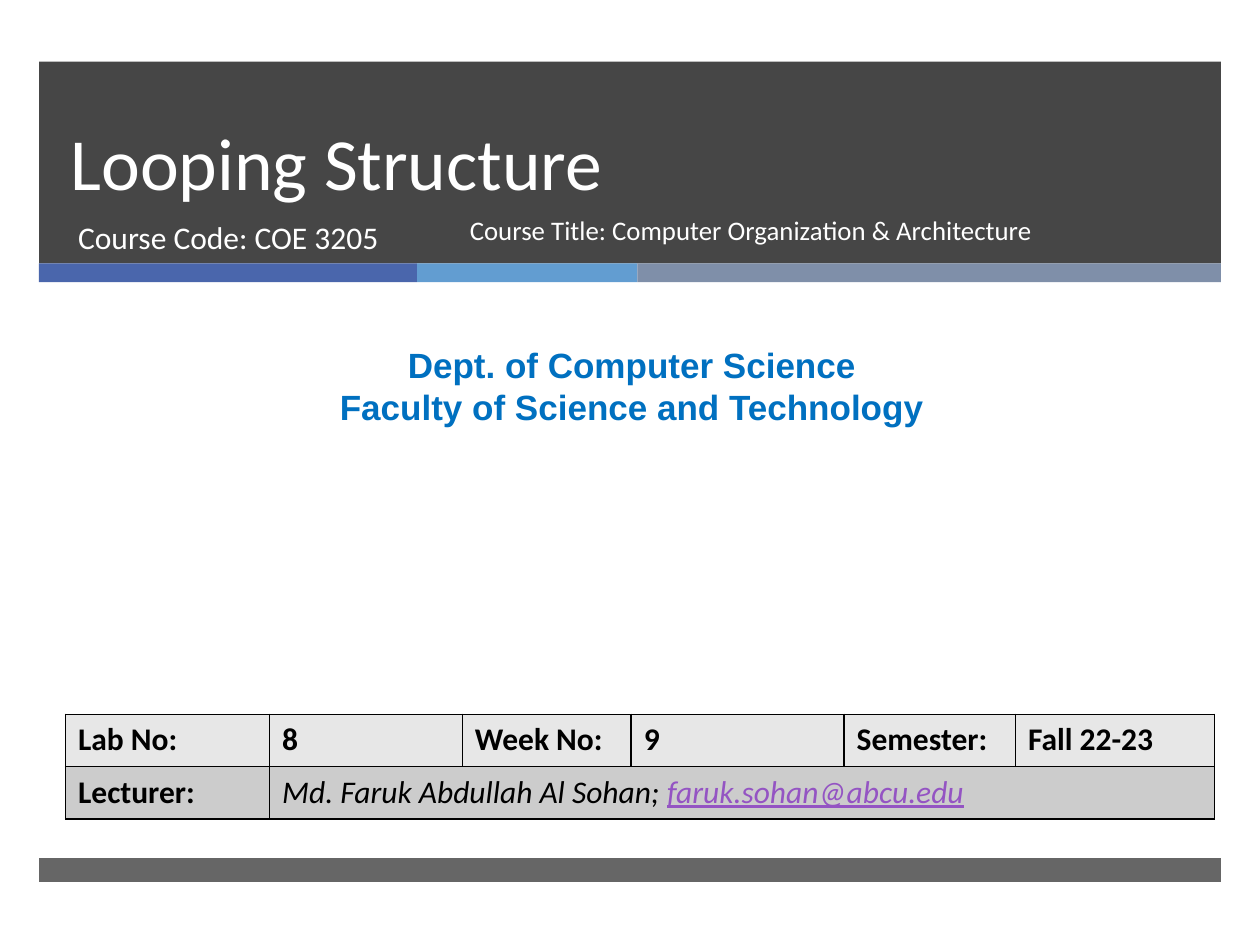
from itertools import accumulate

from lxml import etree
from pptx import Presentation, util as u
from pptx.dml import color as dml
from pptx.enum import shapes, text
from pptx.oxml import ns


def rgb(value):
    return dml.RGBColor.from_string(value)


class CoverSlide:
    """Draws cover elements on a grid of 100 columns by 75 rows."""

    font, size, ink, paper = "Calibri", 18, "000000", "FFFFFF"

    def __init__(self, presentation):
        self.slide = presentation.slides.add_slide(presentation.slide_layouts[0])
        self.column = presentation.slide_width / 100
        self.row = presentation.slide_height / 75

    def box(self, left, top, width, height):
        return (int(left * self.column), int(top * self.row),
                int(width * self.column), int(height * self.row))

    def band(self, area, color, opacity=100):
        shape = self.slide.shapes.add_shape(shapes.MSO_SHAPE.RECTANGLE, *self.box(*area))
        shape.shadow.inherit = False
        shape.fill.solid()
        shape.fill.fore_color.rgb = rgb(color)
        shape.line.fill.background()
        if opacity < 100:
            solid = shape._element.spPr.find(ns.qn("a:solidFill"))
            etree.SubElement(solid[0], ns.qn("a:alpha"), val=str(opacity * 1000))

    def add_words(self, paragraph, words, color=None, size=None, font=None,
                  bold=False, italic=False, underline=False):
        run = paragraph.add_run()
        run.text = words
        run.font.name = font or self.font
        run.font.size = u.Pt(size or self.size)
        run.font.color.rgb = rgb(color or self.ink)
        run.font.bold, run.font.italic, run.font.underline = bold, italic, underline

    def fill_text(self, shape, lines, align=text.PP_ALIGN.LEFT, spacing=1.0,
                  anchor=text.MSO_ANCHOR.TOP, **style):
        frame = shape.text_frame
        frame.word_wrap = True
        frame.auto_size = text.MSO_AUTO_SIZE.NONE
        frame.vertical_anchor = anchor
        for index, words in enumerate(lines):
            paragraph = frame.add_paragraph() if index else frame.paragraphs[0]
            paragraph.alignment = align
            paragraph.line_spacing = spacing
            paragraph.space_before = u.Pt(0)
            self.add_words(paragraph, words, **style)

    def placeholder(self, index, area, words, **style):
        shape = self.slide.placeholders[index]
        shape.left, shape.top, shape.width, shape.height = self.box(*area)
        self.slide.shapes._spTree.append(shape._element)
        self.fill_text(shape, [words], color=self.paper, **style)

    def textbox(self, area, lines, **style):
        self.fill_text(self.slide.shapes.add_textbox(*self.box(*area)), lines, **style)

    def cell(self, cell, fill, runs):
        cell.fill.solid()
        cell.fill.fore_color.rgb = rgb(fill)
        for words, style in runs:
            self.add_words(cell.text_frame.paragraphs[0], words, **style)
        properties = cell._tc.get_or_add_tcPr()
        for index, side in enumerate(("lnL", "lnR", "lnT", "lnB")):
            border = etree.Element(ns.qn(f"a:{side}"), w=str(int(u.Pt(1))))
            solid = etree.SubElement(border, ns.qn("a:solidFill"))
            etree.SubElement(solid, ns.qn("a:srgbClr"), val=self.ink)
            properties.insert(index, border)

    def table(self, area, widths, rows, fills):
        table = self.slide.shapes.add_table(len(rows), len(widths), *self.box(*area)).table
        for column, width in zip(table.columns, widths):
            column.width = int(width * self.column)
        for row_index, (row, fill) in enumerate(zip(rows, fills)):
            for column_index in range(len(widths)):
                runs = row[column_index] if column_index < len(row) else []
                self.cell(table.cell(row_index, column_index), fill, runs)
            if len(row) < len(widths):
                last = table.cell(row_index, len(widths) - 1)
                table.cell(row_index, len(row) - 1).merge(last)


presentation = Presentation()
presentation.slide_width, presentation.slide_height = u.Inches(10), u.Inches(7.5)
cover = CoverSlide(presentation)

edge, full = 3.1, 93.8
cover.band((edge, 4.9, full, 16), "262626", 85)
stripes = [30, 17.5, 46.3]
for left, width, color in zip(accumulate([edge] + stripes), stripes,
                              ("4A66AC", "629DD1", "7F8FA9")):
    cover.band((left, 20.9, width, 1.5), color)
cover.band((edge, 68.1, full, 1.9), "262626", 70)

cover.placeholder(0, (4.6, 4.9, 85.4, 11.9), "Looping Structure", size=42,
                  spacing=u.Pt(46), anchor=text.MSO_ANCHOR.BOTTOM)
cover.placeholder(1, (5.2, 16.8, 30.5, 5.3), "Course Code: COE 3205")
cover.textbox((0.8, 26.8, 98.7, 7.7),
              ["Dept. of Computer Science", "Faculty of Science and Technology"],
              align=text.PP_ALIGN.CENTER, font="Arial", size=20, color="0070C0", bold=True)

strong = {"bold": True}
labels = ["Lab No:", "8", "Week No:", "9", "Semester:", "Fall 22-23"]
lecturer = [("Md. Faruk Abdullah Al Sohan; ", {"italic": True}),
            ("faruk.sohan@abcu.edu", {"italic": True, "underline": True, "color": "9454C3"})]
cover.table((5.2, 56.7, 91.2, 8.3), [16.2, 15.3, 13.4, 16.9, 13.6, 15.8],
            [[[(label, strong)] for label in labels], [[("Lecturer:", strong)], lecturer]],
            ["E7E7E7", "CCCCCC"])
cover.textbox((36.3, 16.8, 46.9, 5.3), ["Course Title: Computer Organization & Architecture"],
              size=15.3, color=cover.paper, spacing=0.9)

presentation.save("out.pptx")
